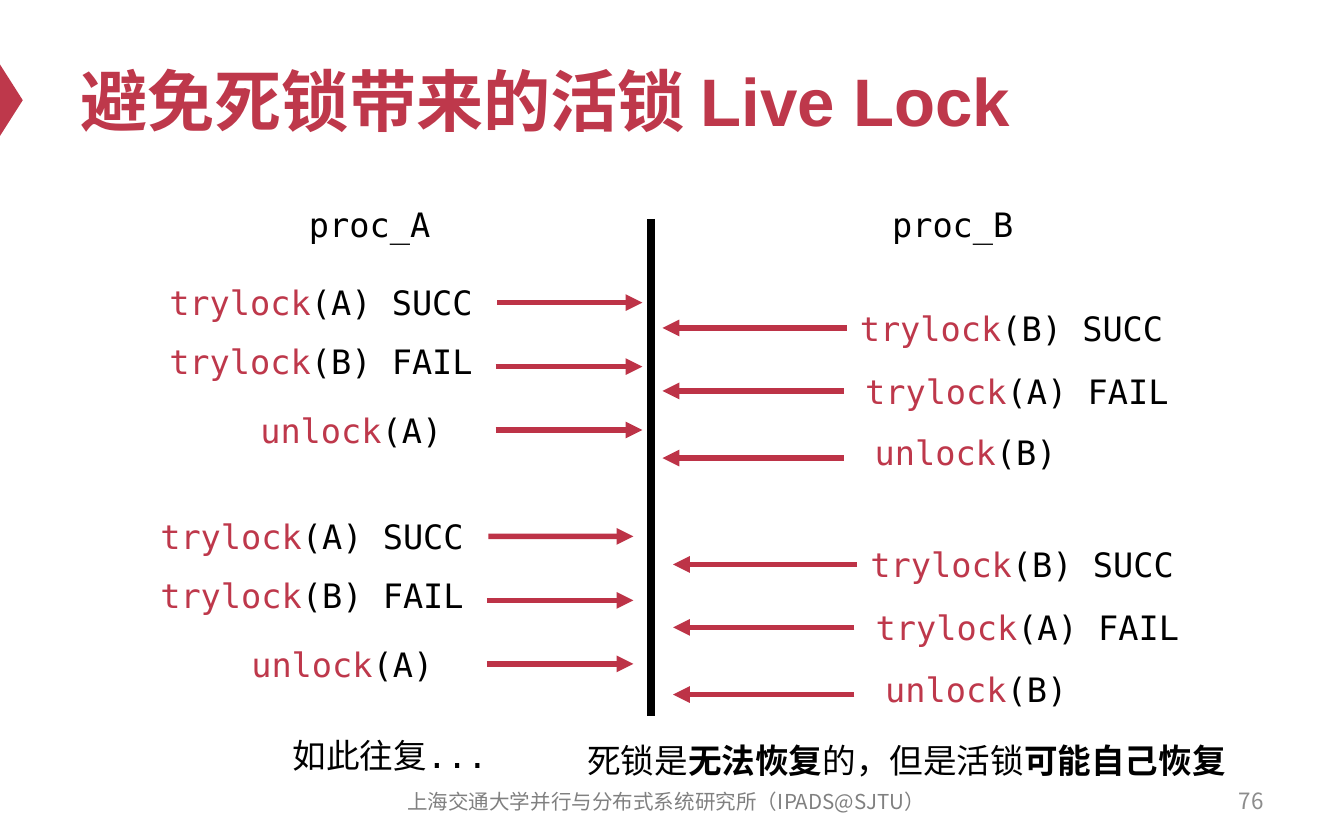
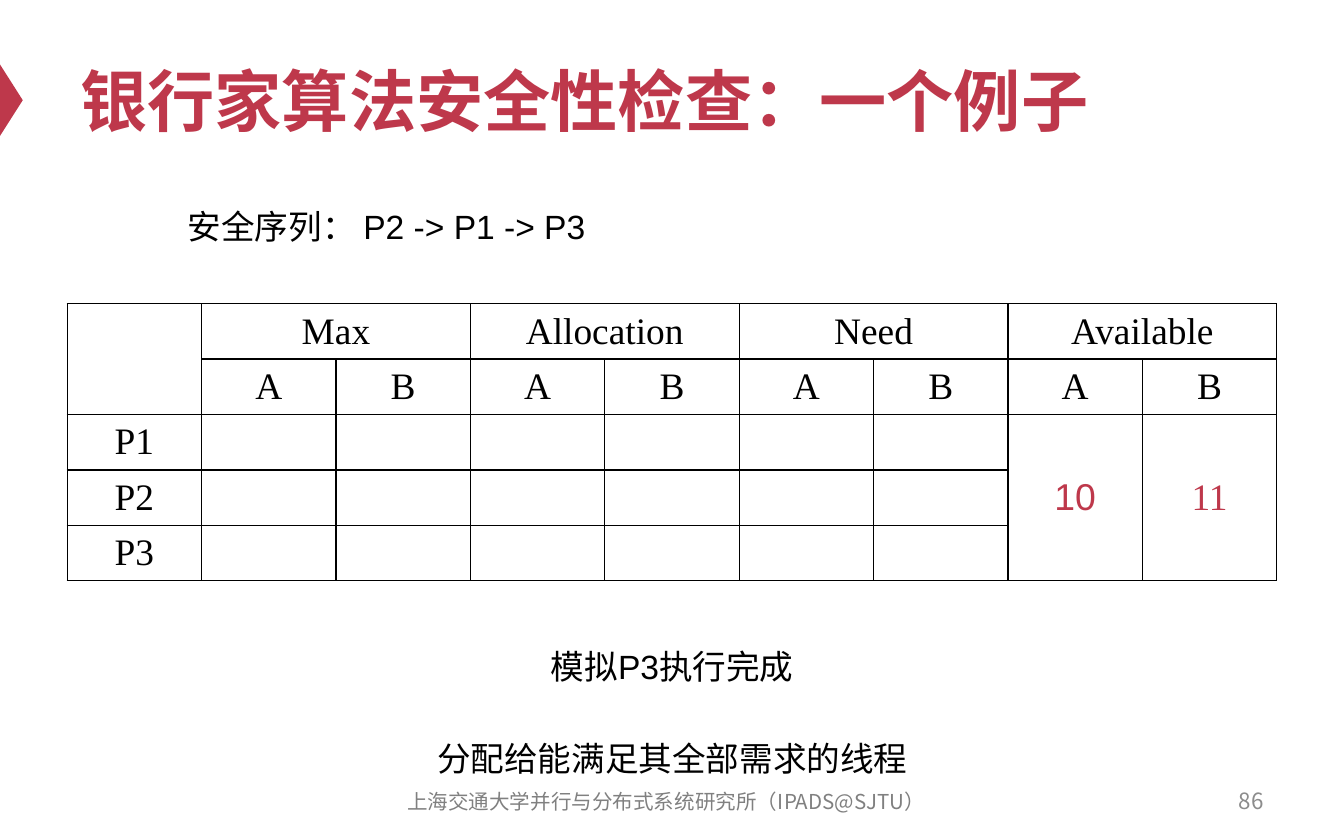
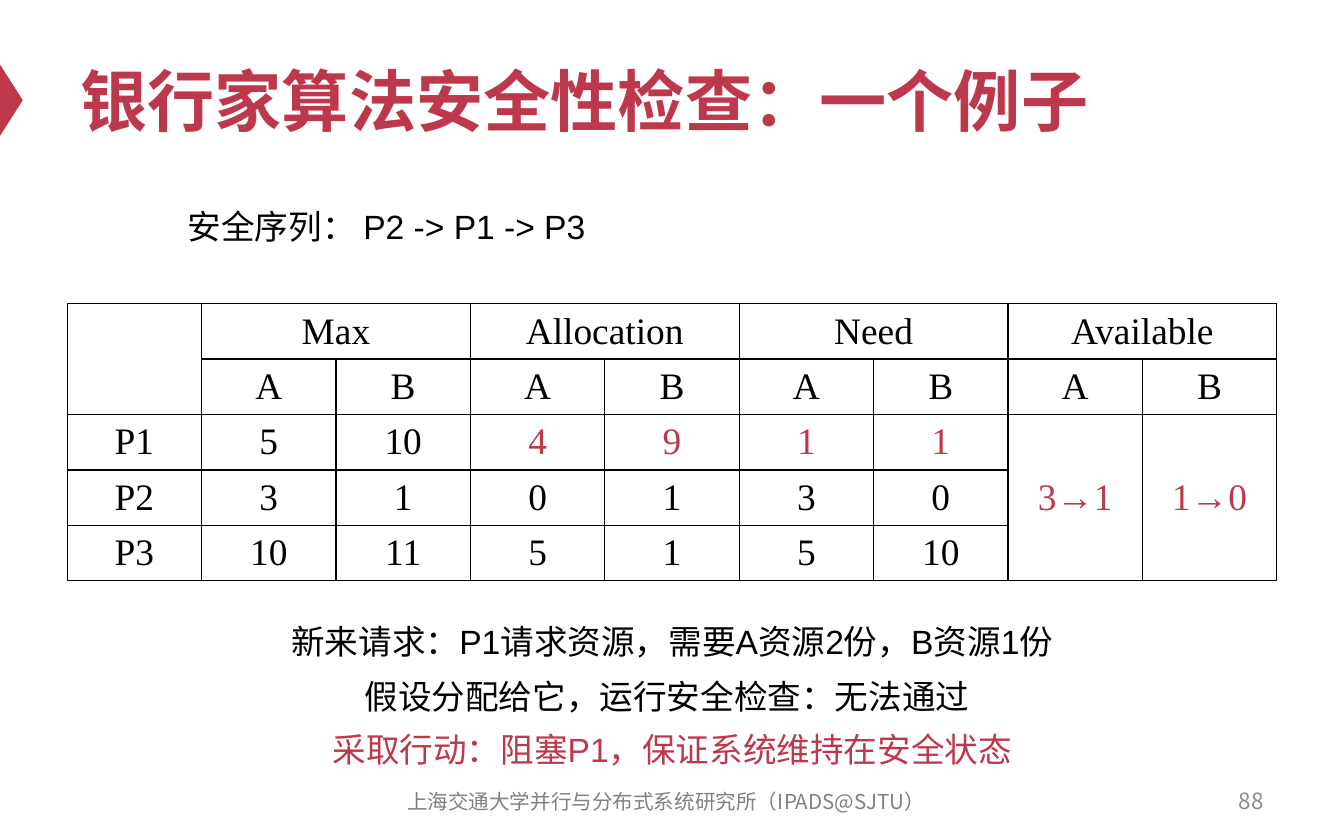
"""Build three slides on live lock and the banker's algorithm."""
from dataclasses import dataclass

from lxml import etree
from pptx import Presentation
from pptx import util as u
from pptx.dml.color import RGBColor
from pptx.enum import shapes, text
from pptx.oxml.ns import qn


@dataclass(frozen=True)
class Theme:
    """Colours, fonts and type sizes shared by the slides."""
    red: str = "BE384B"
    arrow_red: str = "BD3347"
    black: str = "000000"
    footer_grey: str = "808080"
    number_grey: str = "8C8C8C"
    sans: str = "Arial"
    mono: str = "DejaVu Sans Mono"
    serif: str = "Times New Roman"
    cjk: str = "Noto Sans CJK SC"
    title: int = 36
    table: int = 20
    body: int = 18
    number: int = 12
    footer: int = 11


T = Theme()
LEFT, CENTER, RIGHT = text.PP_ALIGN.LEFT, text.PP_ALIGN.CENTER, text.PP_ALIGN.RIGHT
INSTITUTE = "上海交通大学并行与分布式系统研究所（IPADS@SJTU）"
EXAMPLE_TITLE = "银行家算法安全性检查：一个例子"
SAFE_SEQUENCE = "安全序列： P2 -> P1 -> P3"
RESOURCE_GROUPS = ["Max", "Allocation", "Need", "Available"]
THREADS = ["P1", "P2", "P3"]


def cm(*lengths):
    """Turn numbers into centimetre lengths."""
    return [u.Cm(length) for length in lengths]


def style_run(run, font, size, color, bold=False):
    """Give a run its font, size, colour and weight."""
    run.font.name, run.font.size, run.font.bold = font, u.Pt(size), bold
    run.font.color.rgb = RGBColor.from_string(color)


def add_text(slide, place, pieces, font=T.sans, size=T.body, align=LEFT,
             spacing=None, middle=False):
    """Add a text box whose pieces are (words, colour, bold)."""
    box = slide.shapes.add_textbox(*cm(*place))
    frame = box.text_frame
    frame.word_wrap = True
    if middle:
        frame.auto_size = text.MSO_AUTO_SIZE.NONE
        frame.vertical_anchor = text.MSO_ANCHOR.MIDDLE
    else:
        frame.auto_size = text.MSO_AUTO_SIZE.SHAPE_TO_FIT_TEXT
    paragraph = frame.paragraphs[0]
    paragraph.alignment = align
    if spacing:
        paragraph.line_spacing = spacing
    for words, color, bold in pieces:
        run = paragraph.add_run()
        run.text = words
        style_run(run, font, size, color, bold)
        east_asian = etree.SubElement(run.font._element, qn("a:ea"))
        east_asian.set("typeface", T.cjk)
        run.font._element.find(qn("a:latin")).addnext(east_asian)
    return box


def add_line(slide, start, end, color, width, arrow=False):
    """Add a straight line, with an arrowhead at its end if asked."""
    line = slide.shapes.add_connector(shapes.MSO_CONNECTOR.STRAIGHT, *cm(*start, *end))
    line.line.color.rgb = RGBColor.from_string(color)
    line.line.width = u.Pt(width)
    if arrow:
        etree.SubElement(line.line._get_or_add_ln(), qn("a:tailEnd"), type="triangle")
    etree.SubElement(line._element.spPr, qn("a:effectLst"))
    return line


def add_page(deck, title, number):
    """Add a slide with the marker, title, footer and page number."""
    slide = deck.slides.add_slide(deck.slide_layouts[6])
    marker = slide.shapes.add_shape(shapes.MSO_SHAPE.ISOSCELES_TRIANGLE,
                                    *cm(-0.46, 1.68, 1.35, 0.43))
    marker.rotation = 90
    marker.shadow.inherit = False
    marker.fill.solid()
    marker.fill.fore_color.rgb = RGBColor.from_string(T.red)
    marker.line.fill.background()
    add_text(slide, (1.27, 0.64, 22.86, 2.49), [(title, T.red, True)],
             size=T.title, middle=True)
    add_text(slide, (7.09, 14.73, 11, 0.84), [(INSTITUTE, T.footer_grey, False)],
             T.cjk, T.footer, CENTER, middle=True)
    add_text(slide, (18.21, 14.71, 5.92, 0.84), [(str(number), T.number_grey, False)],
             T.cjk, T.number, RIGHT, middle=True)
    return slide


def add_lock_calls(slide, calls, arrow_from, arrow_to, side, shift):
    """Add one process's round of lock calls with arrows to the time line."""
    dx, dy = shift
    for function, rest, left, top, width, arrow_y in calls:
        call = add_text(slide, (left + dx, top + dy, width, 1.02),
                        [(function, T.red, False), (rest, T.black, False)], T.mono)
        arrow = add_line(slide, (arrow_from + dx, arrow_y + dy),
                         (arrow_to + dx, arrow_y + dy), T.arrow_red, 3, arrow=True)
        if rest.endswith("SUCC"):
            arrow.begin_connect(call, side)


def add_note(slide, words, top, left=3, color=T.black, align=CENTER):
    """Add one line of explanation around the table."""
    add_text(slide, (left, top, 19.41, 1.27), [(words, color, False)],
             align=align, spacing=1.5)


def fill_cell(cell, words, color=T.black, font=T.serif):
    """Write centred words into a table cell."""
    cell.text_frame.text = words
    cell.vertical_anchor = text.MSO_ANCHOR.MIDDLE
    paragraph = cell.text_frame.paragraphs[0]
    paragraph.alignment = CENTER
    for run in paragraph.runs:
        style_run(run, font, T.table, color)


def outline_cell(cell):
    """Give a cell thin black borders, no fill and tight margins."""
    properties = cell._tc.get_or_add_tcPr()
    for edge in ("a:lnL", "a:lnR", "a:lnT", "a:lnB"):
        border = etree.SubElement(properties, qn(edge), w=str(u.Pt(0.75)))
        paint = etree.SubElement(border, qn("a:solidFill"))
        etree.SubElement(paint, qn("a:srgbClr"), val=T.black)
    cell.fill.background()
    cell.margin_top = cell.margin_bottom = u.Cm(0.1)


def add_resource_table(slide, amounts, available, changed=()):
    """Add the table of threads and resources; changed cells are red."""
    table = slide.shapes.add_table(5, 9, *cm(1.27, 5.74, 22.86, 5.2)).table
    table.first_row = table.horz_banding = False
    for column in table.columns:
        column.width = u.Cm(2.54)
    for row in table.rows:
        row.height = u.Cm(1.04)
    for cell in table.iter_cells():
        outline_cell(cell)
    table.cell(0, 0).merge(table.cell(1, 0))
    for group, name in enumerate(RESOURCE_GROUPS):
        first = 1 + 2 * group
        table.cell(0, first).merge(table.cell(0, first + 1))
        fill_cell(table.cell(0, first), name)
        for offset, resource in enumerate("AB"):
            fill_cell(table.cell(1, first + offset), resource)
    for row, thread in enumerate(THREADS, 2):
        fill_cell(table.cell(row, 0), thread)
    for row, values in enumerate(amounts, 2):
        for column, value in enumerate(values, 1):
            color = T.red if (row, column) in changed else T.black
            fill_cell(table.cell(row, column), str(value), color)
    for column, (words, font) in enumerate(available, 7):
        table.cell(2, column).merge(table.cell(4, column))
        fill_cell(table.cell(2, column), words, T.red, font)


def build_live_lock(deck):
    """Show two processes that keep undoing each other's progress."""
    slide = add_page(deck, "避免死锁带来的活锁 Live Lock", 76)
    for process, left in (("proc_A", 5.59), ("proc_B", 16.61)):
        add_text(slide, (left, 3.73, 3, 1.02), [(process, T.black, False)], T.mono)
    add_line(slide, (12.3, 4.14), (12.3, 13.54), T.black, 4)
    calls_a = [("trylock", "(A) SUCC", 2.95, 5.21, 6.45, 5.72),
               ("trylock", "(B) FAIL", 2.95, 6.32, 6.35, 6.93),
               ("unlock", "(A)", 4.67, 7.62, 4.11, 8.13)]
    calls_b = [("trylock", "(B) SUCC", 16, 5.69, 7.54, 6.2),
               ("trylock", "(A) FAIL", 16.1, 6.88, 6.35, 7.39),
               ("unlock", "(B)", 16.28, 8.05, 4.11, 8.66)]
    for shift_a, shift_b in (((0, 0), (0, 0)), ((-0.17, 4.42), (0.2, 4.47))):
        add_lock_calls(slide, calls_a, 9.37, 12.14, 3, shift_a)
        add_lock_calls(slide, calls_b, 15.95, 12.52, 1, shift_b)
    add_text(slide, (5.28, 13.77, 6.63, 1.02), [("如此往复...", T.black, False)], T.mono)
    add_text(slide, (10.85, 13.87, 13.21, 1.02),
             [("死锁是", T.black, False), ("无法恢复", T.black, True),
              ("的，但是活锁", T.black, False), ("可能自己恢复", T.black, True)], T.mono)


def add_example(deck, number):
    """Add a page of the banker's algorithm example."""
    slide = add_page(deck, EXAMPLE_TITLE, number)
    add_note(slide, SAFE_SEQUENCE, 3.38, left=3.3, align=LEFT)
    return slide


def build_finished_example(deck):
    """Show the resources once every thread has finished."""
    slide = add_example(deck, 86)
    add_resource_table(slide, [], [("10", T.sans), ("11", T.serif)])
    add_note(slide, "模拟P3执行完成", 11.71)
    add_note(slide, "分配给能满足其全部需求的线程", 13.44)


def build_refused_example(deck):
    """Show a request that fails the safety check."""
    slide = add_example(deck, 88)
    amounts = [[5, 10, 4, 9, 1, 1], [3, 1, 0, 1, 3, 0], [10, 11, 5, 1, 5, 10]]
    add_resource_table(slide, amounts, [("3→1", T.serif), ("1→0", T.serif)],
                       changed=[(2, column) for column in range(3, 7)])
    add_note(slide, "新来请求：P1请求资源，需要A资源2份，B资源1份", 11.23)
    add_note(slide, "假设分配给它，运行安全检查：无法通过", 12.27, left=2.9)
    add_note(slide, "采取行动：阻塞P1，保证系统维持在安全状态", 13.28, color=T.red)


def main():
    """Build and save the deck."""
    deck = Presentation()
    deck.slide_width, deck.slide_height = cm(25.4, 15.88)
    build_live_lock(deck)
    build_finished_example(deck)
    build_refused_example(deck)
    deck.save("out.pptx")


if __name__ == "__main__":
    main()
